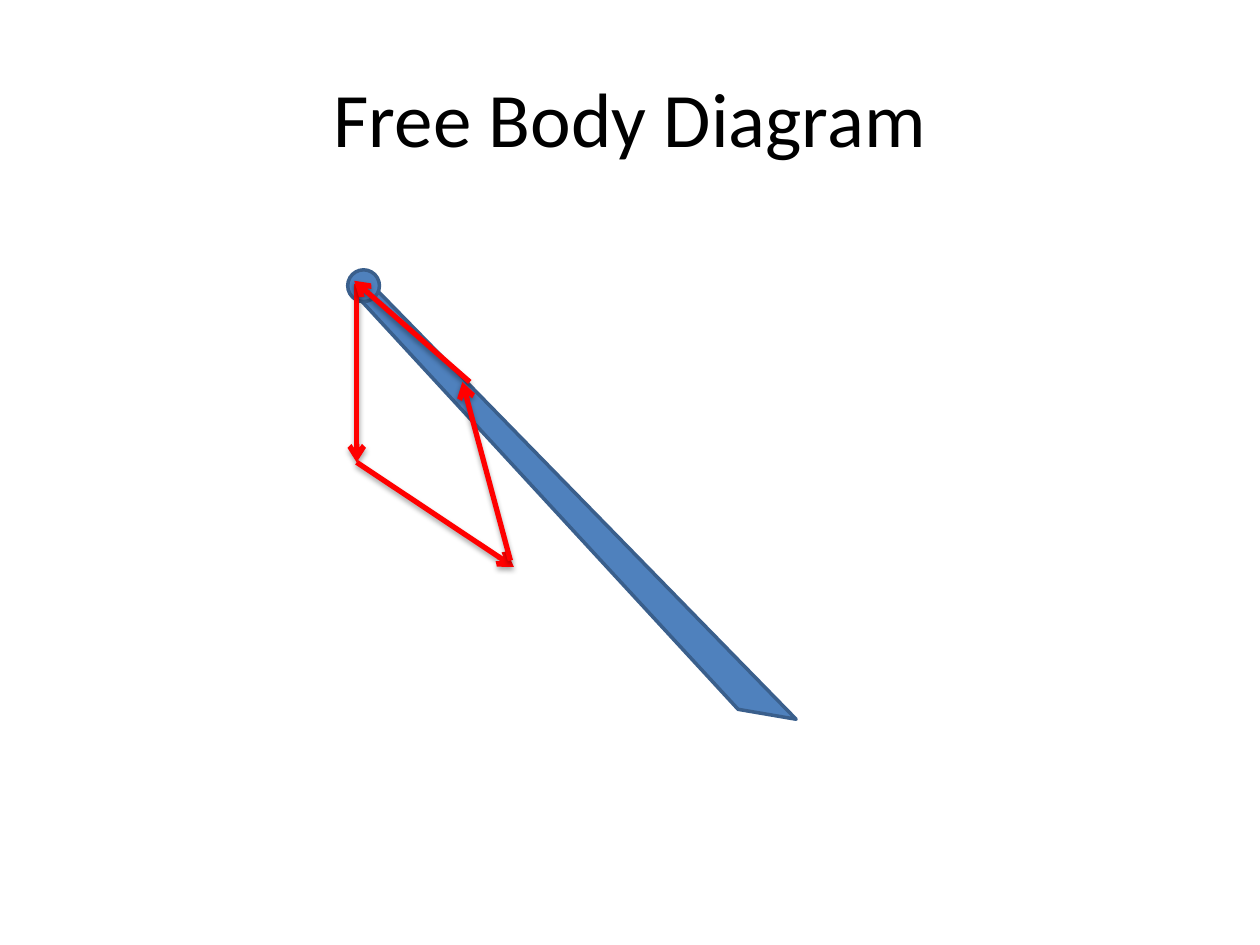
import pptx
import pptx.dml.color
import pptx.enum.shapes
import pptx.enum.text
import pptx.oxml
import pptx.oxml.ns
import pptx.util

Cm = pptx.util.Cm
Pt = pptx.util.Pt


def rgb(value):
    return pptx.dml.color.RGBColor.from_string(value)


presentation = pptx.Presentation()
presentation.slide_width, presentation.slide_height = Cm(25.4), Cm(19.05)
slide = presentation.slides.add_slide(presentation.slide_layouts[5])

# Title
title = slide.shapes.title
title.left, title.top, title.width, title.height = Cm(1.27), Cm(0.76), Cm(22.86), Cm(3.18)
title.text_frame.text = "Free Body Diagram"
title.text_frame.vertical_anchor = pptx.enum.text.MSO_ANCHOR.MIDDLE
heading = title.text_frame.paragraphs[0]
heading.alignment = pptx.enum.text.PP_ALIGN.CENTER
heading.runs[0].font.name = "Calibri"
heading.runs[0].font.size = Pt(44)
heading.runs[0].font.color.rgb = rgb("000000")

# Bar and the pivot at its upper end
corners = [(Cm(x), Cm(y)) for x, y in [(7.29, 6.07), (7.59, 5.84), (16.05, 14.5), (14.88, 14.3)]]
outline = slide.shapes.build_freeform(*corners[0])
outline.add_line_segments(corners[1:], close=True)
bar = outline.convert_to_shape()
pivot = slide.shapes.add_shape(
    pptx.enum.shapes.MSO_SHAPE.OVAL, Cm(7.01), Cm(5.44), Cm(0.64), Cm(0.64)
)
for part in (bar, pivot):
    part.shadow.inherit = False
    part.fill.solid()
    part.fill.fore_color.rgb = rgb("4F81BD")
    part.line.color.rgb = rgb("3A5F8C")
    part.line.width = Pt(2)

# Force vectors: start and end points in centimetres
forces = [
    (7.19, 5.72, 7.19, 9.32),
    (7.19, 9.32, 10.36, 11.43),
    (9.47, 7.7, 7.14, 5.66),
    (10.29, 11.3, 9.32, 7.7),
]
namespace = pptx.oxml.ns.nsdecls("a")
for ends in forces:
    force = slide.shapes.add_connector(
        pptx.enum.shapes.MSO_CONNECTOR.STRAIGHT, *(Cm(value) for value in ends)
    )
    force.line.color.rgb = rgb("FF0000")
    force.line.width = Pt(3)
    force.line._get_or_add_ln().append(
        pptx.oxml.parse_xml(f'<a:tailEnd {namespace} type="arrow"/>')
    )
    force._element.spPr.append(pptx.oxml.parse_xml(
        f'<a:effectLst {namespace}>'
        f'<a:outerShdw blurRad="{Pt(3.1)}" dist="{Pt(1.8)}" dir="5400000" rotWithShape="0">'
        '<a:srgbClr val="000000"><a:alpha val="35000"/></a:srgbClr>'
        '</a:outerShdw></a:effectLst>'
    ))

presentation.save("out.pptx")
